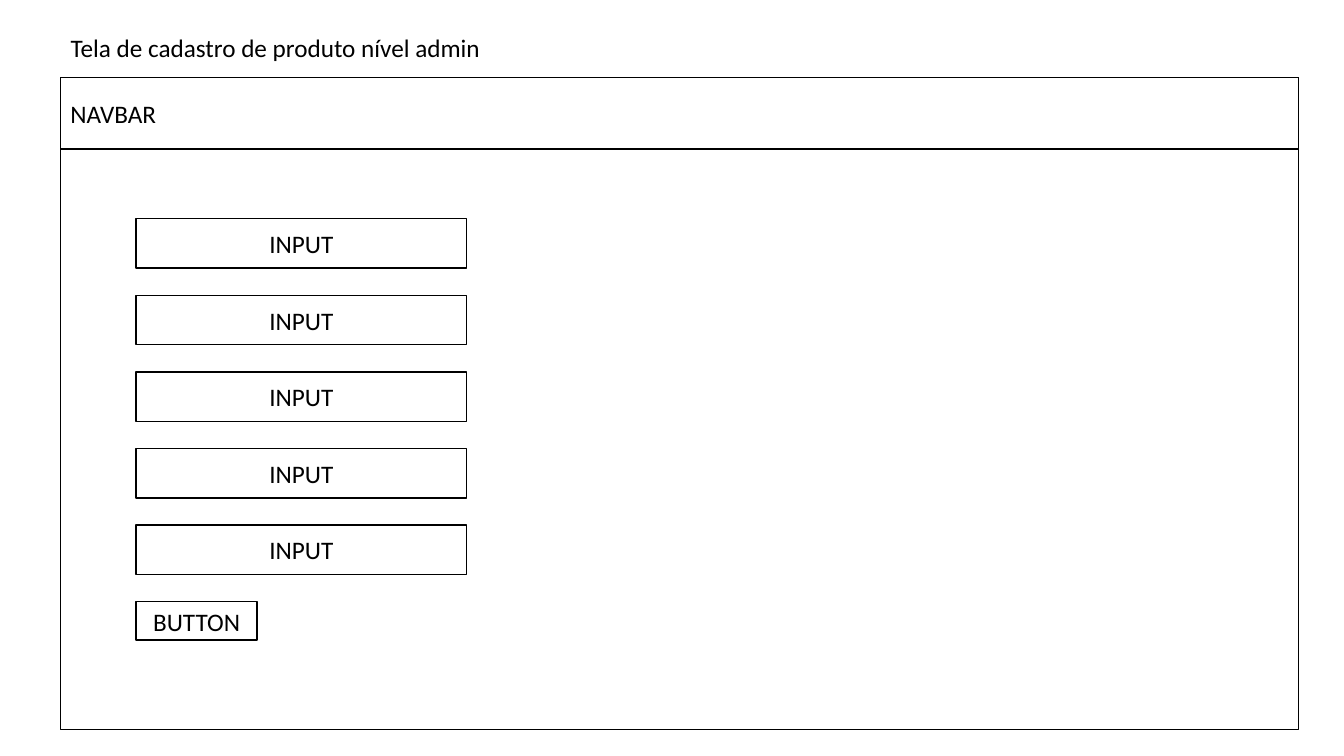
import dataclasses

import pptx
import pptx.dml.color
import pptx.enum.shapes
import pptx.enum.text
import pptx.util

ALIGN = pptx.enum.text.PP_ALIGN
ANCHOR = pptx.enum.text.MSO_ANCHOR


@dataclasses.dataclass(frozen=True)
class Theme:
    font: str = "Calibri"
    text_size: int = 18
    line_width: int = 1
    ink: str = "000000"
    paper: str = "FFFFFF"


class Wireframe:
    """Draws on a slide whose grid has ten columns and ten rows to the inch."""

    CELL = pptx.util.Inches(0.1)

    def __init__(self, slide, theme):
        self.slide = slide
        self.theme = theme

    def color(self, value):
        return pptx.dml.color.RGBColor.from_string(value)

    def cells(self, *lengths):
        return [round(length * self.CELL) for length in lengths]

    def label(self, frame, text, align, anchor):
        frame.vertical_anchor = anchor
        para = frame.paragraphs[0]
        para.alignment = align
        span = para.add_run()
        span.text = text
        span.font.name = self.theme.font
        span.font.size = pptx.util.Pt(self.theme.text_size)
        span.font.color.rgb = self.color(self.theme.ink)

    def title(self, text, column, row, columns, rows):
        box = self.slide.shapes.title
        box.left, box.top, box.width, box.height = self.cells(column, row, columns, rows)
        frame = box.text_frame
        frame.word_wrap = False
        frame.auto_size = pptx.enum.text.MSO_AUTO_SIZE.SHAPE_TO_FIT_TEXT
        self.label(frame, text, ALIGN.LEFT, ANCHOR.TOP)

    def box(self, column, row, columns, rows, text="", align=ALIGN.CENTER):
        box = self.slide.shapes.add_shape(
            pptx.enum.shapes.MSO_SHAPE.RECTANGLE, *self.cells(column, row, columns, rows))
        box.shadow.inherit = False
        box.fill.solid()
        box.fill.fore_color.rgb = self.color(self.theme.paper)
        box.line.color.rgb = self.color(self.theme.ink)
        box.line.width = pptx.util.Pt(self.theme.line_width)
        if text:
            self.label(box.text_frame, text, align, ANCHOR.MIDDLE)


def main():
    deck = pptx.Presentation()
    deck.slide_width = pptx.util.Inches(13.33)
    deck.slide_height = pptx.util.Inches(7.5)
    title_only = deck.slide_layouts[5]
    page = Wireframe(deck.slides.add_slide(title_only), Theme())

    # Title
    left = 6
    page.title("Tela de cadastro de produto nível admin", left, 2.7, 43.1, 4)

    # Screen frame and navigation bar
    top, width = 7.7, 122.8
    page.box(left, top, width, 64.7)
    page.box(left, top, width, 7.1, "NAVBAR", ALIGN.LEFT)

    # Form: evenly spaced inputs, then the button
    form_left, form_top, pitch = 13.5, 21.7, 7.6
    inputs = 5
    for index in range(inputs):
        page.box(form_left, form_top + index * pitch, 32.8, 4.9, "INPUT")
    page.box(form_left, form_top + inputs * pitch, 12, 3.8, "BUTTON")

    deck.save("out.pptx")


if __name__ == "__main__":
    main()
